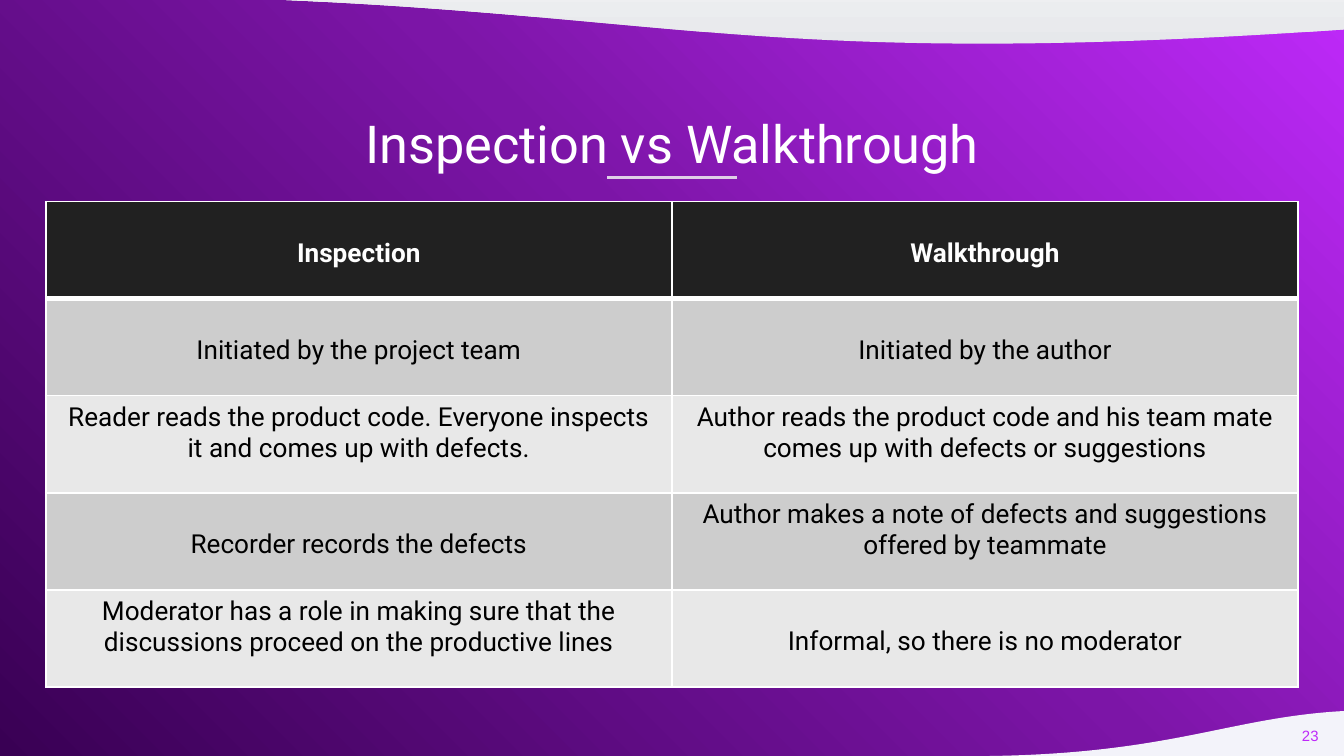
from lxml import etree
from pptx import Presentation
from pptx.dml.color import RGBColor
from pptx.enum.shapes import MSO_CONNECTOR, MSO_SHAPE
from pptx.enum.text import MSO_ANCHOR, MSO_AUTO_SIZE, PP_ALIGN
from pptx.oxml.ns import qn
from pptx.util import Pt

WAVE = MSO_SHAPE.FLOWCHART_DOCUMENT
STRAIGHT = MSO_CONNECTOR.STRAIGHT
TOP, MIDDLE = MSO_ANCHOR.TOP, MSO_ANCHOR.MIDDLE
CENTER, RIGHT = PP_ALIGN.CENTER, PP_ALIGN.RIGHT
NO_AUTOFIT = MSO_AUTO_SIZE.NONE

WHITE = RGBColor(0xFF, 0xFF, 0xFF)
BLACK = RGBColor(0x00, 0x00, 0x00)
CHARCOAL = RGBColor(0x21, 0x21, 0x21)
DARK_BAND = RGBColor(0xCD, 0xCD, 0xCD)
LIGHT_BAND = RGBColor(0xE8, 0xE8, 0xE8)
VIOLET = RGBColor(0xBE, 0x29, 0xF9)
PURPLE = RGBColor(0x7C, 0x15, 0xA7)
DEEP_PURPLE = RGBColor(0x39, 0x00, 0x54)
LILAC = RGBColor(0xDF, 0xCF, 0xE7)
SILVER = RGBColor(0xE6, 0xE8, 0xEB)
PALE_GREY = RGBColor(0xF3, 0xF4, 0xF5)
MIST = RGBColor(0xF3, 0xF3, 0xFA)
PALE_MIST = RGBColor(0xF9, 0xF9, 0xFD)

BACKDROP = [(0, VIOLET), (45, PURPLE), (100, DEEP_PURPLE)]
TOP_WAVE = [(0, SILVER), (34, PALE_GREY), (100, WHITE)]
BOTTOM_WAVE = [(0, MIST), (89, PALE_MIST), (100, WHITE)]

LINE_DROP = 16
COMPARISON = [
    [("Inspection", LINE_DROP), ("Walkthrough", LINE_DROP)],
    [("Initiated by the project team", LINE_DROP),
     ("Initiated by the author", LINE_DROP)],
    [("Reader reads the product code. Everyone inspects it and comes up with defects.", 0),
     ("Author reads the product code and his team mate comes up with defects or suggestions", 0)],
    [("Recorder records the defects", LINE_DROP),
     ("Author makes a note of defects and suggestions offered by teammate", 0)],
    [("Moderator has a role in making sure that the discussions proceed on the productive lines", 0),
     ("Informal, so there is no moderator", LINE_DROP)],
]


def write_text(frame, text, size=14, color=BLACK, font="Roboto", bold=False, align=CENTER):
    """Write one formatted paragraph into a text frame."""
    frame.word_wrap = True
    paragraph = frame.paragraphs[0]
    paragraph.alignment = align
    run = paragraph.add_run()
    run.text = text
    run.font.size = Pt(size)
    run.font.name = font
    run.font.bold = bold
    run.font.color.rgb = color


def set_gradient(fill, properties, stops, angle):
    """Give a fill a linear gradient with the stops and clockwise angle."""
    fill.gradient()
    gradient = properties.find(qn("a:gradFill"))
    for child in list(gradient):
        gradient.remove(child)
    stop_list = etree.SubElement(gradient, qn("a:gsLst"))
    for position, color in stops:
        stop = etree.SubElement(stop_list, qn("a:gs"), pos=str(position * 1000))
        etree.SubElement(stop, qn("a:srgbClr"), val=str(color))
    etree.SubElement(gradient, qn("a:lin"), ang=str(angle * 60000), scaled="0")


def add_wave(slide, box, stops, rotation=0, flipped=False):
    """Draw a pale wave in the box."""
    wave = slide.shapes.add_shape(WAVE, *map(Pt, box))
    wave.shadow.inherit = False
    wave.line.fill.background()
    wave.rotation = rotation
    properties = wave._element.spPr
    if flipped:
        properties.find(qn("a:xfrm")).set("flipH", "1")
    set_gradient(wave.fill, properties, stops, 270)


def add_background(slide, width, height):
    """Paint the purple backdrop and the waves at its edges."""
    fill = slide.background.fill
    set_gradient(fill, slide._element.cSld.find(qn("p:bg")).find(qn("p:bgPr")), BACKDROP, 135)
    add_wave(slide, (-1.4, -118, width + 2, 143.2), TOP_WAVE, flipped=True)
    add_wave(slide, (width - 201.6, height - 26.3, 301, 133.2), BOTTOM_WAVE, rotation=180)


def add_heading(slide, box, text):
    """Place the title in the box with a short rule centred below."""
    left, top, width, height = box
    title = slide.shapes.title
    title.left, title.top, title.width, title.height = map(Pt, box)
    frame = title.text_frame
    frame.auto_size = NO_AUTOFIT
    frame.vertical_anchor = TOP
    frame.margin_top = Pt(9)
    write_text(frame, text, size=28, color=WHITE)

    middle, rule_top = left + width / 2, top + height + 3.6
    rule = slide.shapes.add_connector(
        STRAIGHT, Pt(middle - 34.6), Pt(rule_top), Pt(middle + 34.6), Pt(rule_top))
    rule.line.color.rgb = LILAC
    rule.line.width = Pt(1.5)
    etree.SubElement(rule._element.spPr, qn("a:effectLst"))


def set_borders(cell, top, bottom):
    """Draw white cell borders with the top and bottom widths in points."""
    properties = cell._tc.get_or_add_tcPr()
    for side, width in (("L", 1), ("R", 1), ("T", top), ("B", bottom)):
        border = etree.SubElement(properties, qn(f"a:ln{side}"), w=str(Pt(width)))
        solid = etree.SubElement(border, qn("a:solidFill"))
        etree.SubElement(solid, qn("a:srgbClr"), val=str(WHITE))


def add_comparison(slide, box, rows):
    """Fill the box with a banded table under a dark header."""
    left, top, width, height = box
    table = slide.shapes.add_table(len(rows), len(rows[0]), *map(Pt, box)).table
    table.horz_banding = False
    for column in table.columns:
        column.width = Pt(width / len(rows[0]))
    for index, row in enumerate(rows):
        table.rows[index].height = Pt(height / len(rows))
        header = index == 0
        band = CHARCOAL if header else DARK_BAND if index % 2 else LIGHT_BAND
        for cell, (text, drop) in zip(table.rows[index].cells, row):
            set_borders(cell, top=3 if index == 1 else 1, bottom=3 if header else 1)
            cell.fill.solid()
            cell.fill.fore_color.rgb = band
            cell.vertical_anchor = TOP
            cell.margin_top = Pt(3.6 + drop)
            write_text(cell.text_frame, text, color=WHITE if header else BLACK, bold=header)


def add_page_number(slide, box, number):
    """Place the page number at the right of the box."""
    frame = slide.shapes.add_textbox(*map(Pt, box)).text_frame
    frame.vertical_anchor = MIDDLE
    write_text(frame, number, size=8, color=VIOLET, font="Arial", align=RIGHT)


def main():
    """Build and save the slide."""
    width, height, margin = 720, 405, 24.5
    presentation = Presentation()
    presentation.slide_width, presentation.slide_height = Pt(width), Pt(height)
    slide = presentation.slides.add_slide(presentation.slide_layouts[5])
    content_width = width - 2 * margin
    add_background(slide, width, height)
    add_heading(slide, (margin, 50.4, content_width, 41), "Inspection vs Walkthrough")
    add_comparison(slide, (margin, 108, content_width, 260), COMPARISON)
    add_page_number(slide, (670.3, 378.7, 43.2, 31), "23")
    presentation.save("out.pptx")


if __name__ == "__main__":
    main()
